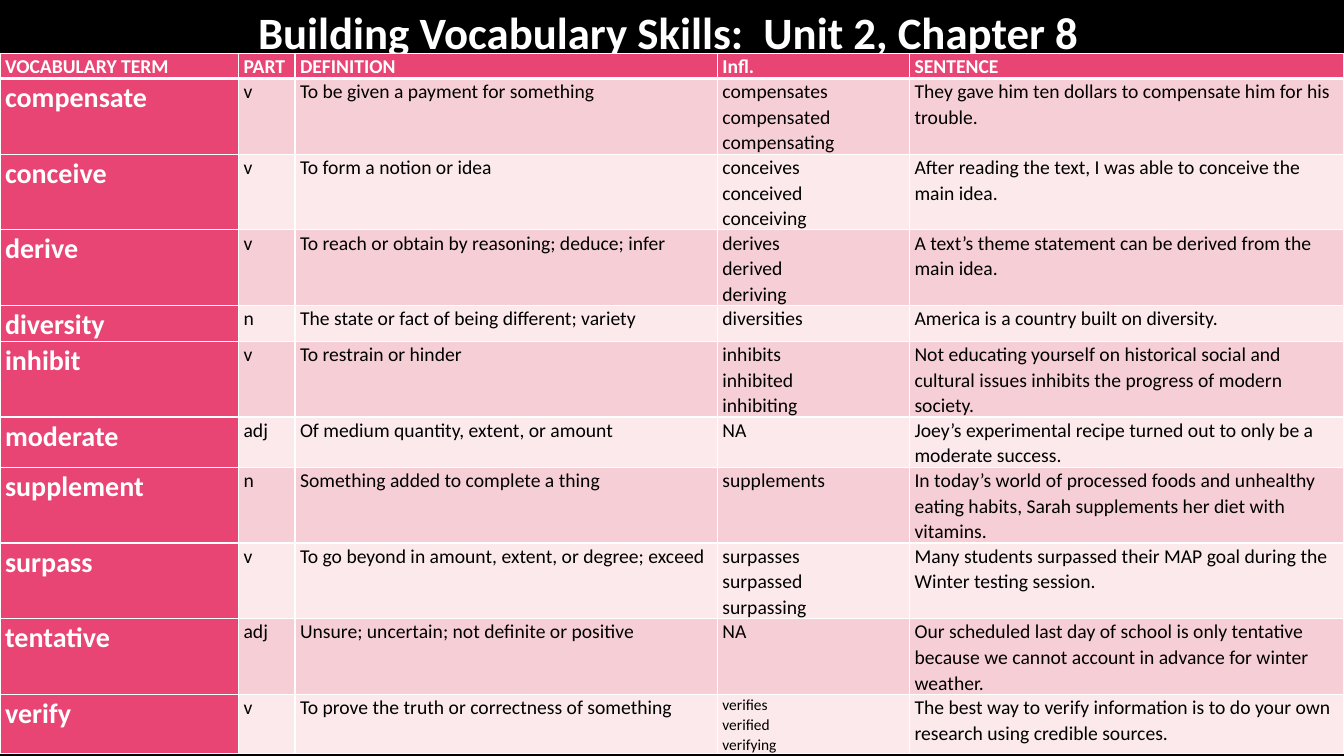
from dataclasses import dataclass

from pptx import Presentation
from pptx.dml.color import RGBColor
from pptx.enum.text import MSO_ANCHOR, MSO_AUTO_SIZE, PP_ALIGN
from pptx.oxml import parse_xml
from pptx.oxml.ns import nsdecls
from pptx.slide import Slide
from pptx.table import _Cell
from pptx.util import Inches, Pt


@dataclass(frozen=True)
class Theme:
    font: str = "Calibri"
    background: str = "000000"
    light: str = "FFFFFF"
    dark: str = "000000"
    accent: str = "E84574"
    bands: tuple[str, str] = ("F6CFD6", "FBE9EB")
    title_size: int = 32
    term_size: int = 20
    body_size: int = 14
    small_size: int = 11
    line_spacing: float = 1.07
    rule: int = 1
    header_rule: int = 3


@dataclass(frozen=True)
class Entry:
    """One vocabulary row; lines is its height in grid rows."""
    term: str
    word_class: str
    definition: str
    inflections: str
    sentence: str
    lines: float = 3
    small_inflections: bool = False


THEME = Theme()
WIDTH, HEIGHT = Inches(13.33), Inches(7.5)
GRID_ROW = HEIGHT / 30
TABLE_TOP = 2.12  # grid rows
COLUMN_PERCENT = (17.75, 4.2, 31.43, 14.3, 32.32)
TITLE = "Building Vocabulary Skills:  Unit 2, Chapter 8"
HEADERS = ("VOCABULARY TERM", "PART", "DEFINITION", "Infl.", "SENTENCE")
ENTRIES = (
    Entry("compensate", "v", "To be given a payment for something",
          "compensates\ncompensated\ncompensating",
          "They gave him ten dollars to compensate him for his trouble."),
    Entry("conceive", "v", "To form a notion or idea",
          "conceives\nconceived\nconceiving",
          "After reading the text, I was able to conceive the main idea."),
    Entry("derive", "v", "To reach or obtain by reasoning; deduce; infer",
          "derives\nderived\nderiving",
          "A text’s theme statement can be derived from the main idea."),
    Entry("diversity", "n", "The state or fact of being different; variety",
          "diversities", "America is a country built on diversity.", lines=1.43),
    Entry("inhibit", "v", "To restrain or hinder",
          "inhibits\ninhibited\ninhibiting",
          "Not educating yourself on historical social and cultural issues "
          "inhibits the progress of modern society."),
    Entry("moderate", "adj", "Of medium quantity, extent, or amount", "NA",
          "Joey’s experimental recipe turned out to only be a moderate success.",
          lines=2),
    Entry("supplement", "n", "Something added to complete a thing", "supplements",
          "In today’s world of processed foods and unhealthy eating habits, "
          "Sarah supplements her diet with vitamins."),
    Entry("surpass", "v", "To go beyond in amount, extent, or degree; exceed",
          "surpasses\nsurpassed\nsurpassing",
          "Many students surpassed their MAP goal during the Winter testing session."),
    Entry("tentative", "adj", "Unsure; uncertain; not definite or positive", "NA",
          "Our scheduled last day of school is only tentative because we cannot "
          "account in advance for winter weather."),
    Entry("verify", "v", "To prove the truth or correctness of something",
          "verifies\nverified\nverifying",
          "The best way to verify information is to do your own research using "
          "credible sources.", lines=2.35, small_inflections=True),
)


def add_title(slide: Slide) -> None:
    sp = slide.shapes.title
    sp.left, sp.top = round(WIDTH * 0.1845), 0
    sp.width, sp.height = round(WIDTH * 0.631), round(HEIGHT * 0.085)
    tf = sp.text_frame
    tf.text = TITLE
    tf.word_wrap = False
    tf.auto_size = MSO_AUTO_SIZE.SHAPE_TO_FIT_TEXT
    tf.vertical_anchor = MSO_ANCHOR.TOP
    p = tf.paragraphs[0]
    p.alignment = PP_ALIGN.LEFT
    p.font.name, p.font.size, p.font.bold = THEME.font, Pt(THEME.title_size), True
    p.font.color.rgb = RGBColor.from_string(THEME.light)


def set_borders(cell: _Cell, top: int, bottom: int) -> None:
    tc_pr = cell._tc.get_or_add_tcPr()
    widths = {"L": THEME.rule, "R": THEME.rule, "T": top, "B": bottom}
    for side, width in widths.items():
        tc_pr.append(parse_xml(
            f'<a:ln{side} {nsdecls("a")} w="{int(Pt(width))}"><a:solidFill>'
            f'<a:srgbClr val="{THEME.light}"/></a:solidFill></a:ln{side}>'))


def fill_cell(cell: _Cell, text: str, fill: str, color: str, size: int,
              bold: bool) -> None:
    cell.margin_left = cell.margin_right = Inches(0.05)
    cell.margin_top = cell.margin_bottom = 0
    cell.fill.solid()
    cell.fill.fore_color.rgb = RGBColor.from_string(fill)
    cell.text = text
    for p in cell.text_frame.paragraphs:
        p.line_spacing = THEME.line_spacing
        p.font.name, p.font.size, p.font.bold = THEME.font, Pt(size), bold
        p.font.color.rgb = RGBColor.from_string(color)


def add_vocabulary_table(slide: Slide) -> None:
    lines = [1, *(entry.lines for entry in ENTRIES)]
    table = slide.shapes.add_table(
        len(lines), len(HEADERS), 0, round(TABLE_TOP * GRID_ROW),
        WIDTH, round(sum(lines) * GRID_ROW)).table
    for column, percent in zip(table.columns, COLUMN_PERCENT):
        column.width = round(WIDTH * percent / 100)
    for row, count in zip(table.rows, lines):
        row.height = round(count * GRID_ROW)

    for cell, text in zip(table.rows[0].cells, HEADERS):
        set_borders(cell, THEME.rule, THEME.header_rule)
        fill_cell(cell, text, THEME.accent, THEME.light, THEME.body_size, True)

    for i, entry in enumerate(ENTRIES):
        cells = list(table.rows[i + 1].cells)
        for cell in cells:
            set_borders(cell, THEME.rule if i else THEME.header_rule, THEME.rule)
        fill_cell(cells[0], entry.term, THEME.accent, THEME.light,
                  THEME.term_size, True)
        inflection_size = (THEME.small_size if entry.small_inflections
                           else THEME.body_size)
        details = (
            (entry.word_class, THEME.body_size),
            (entry.definition, THEME.body_size),
            (entry.inflections, inflection_size),
            (entry.sentence, THEME.body_size),
        )
        for cell, (text, size) in zip(cells[1:], details):
            fill_cell(cell, text, THEME.bands[i % 2], THEME.dark, size, False)


def main() -> None:
    prs = Presentation()
    prs.slide_width, prs.slide_height = WIDTH, HEIGHT
    slide = prs.slides.add_slide(prs.slide_layouts.get_by_name("Title Only"))
    background = slide.background.fill
    background.solid()
    background.fore_color.rgb = RGBColor.from_string(THEME.background)
    add_title(slide)
    add_vocabulary_table(slide)
    prs.save("out.pptx")


if __name__ == "__main__":
    main()
